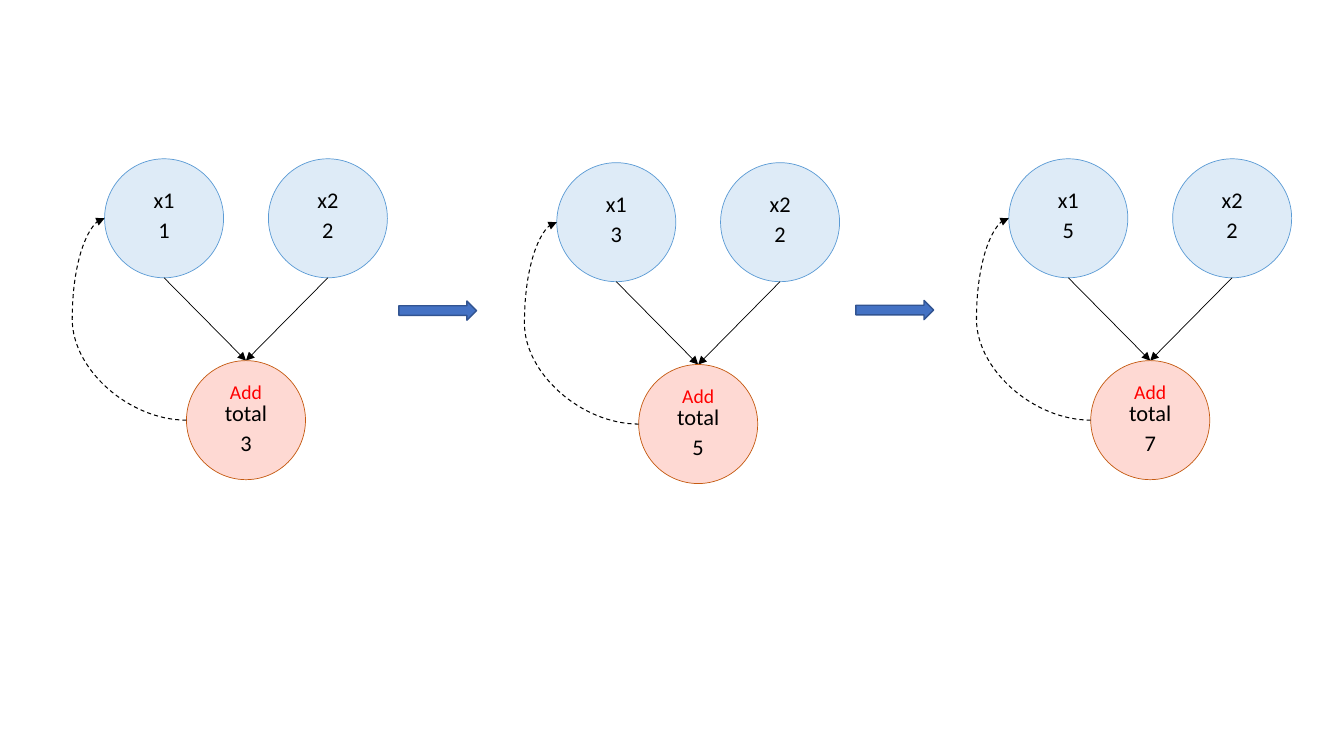
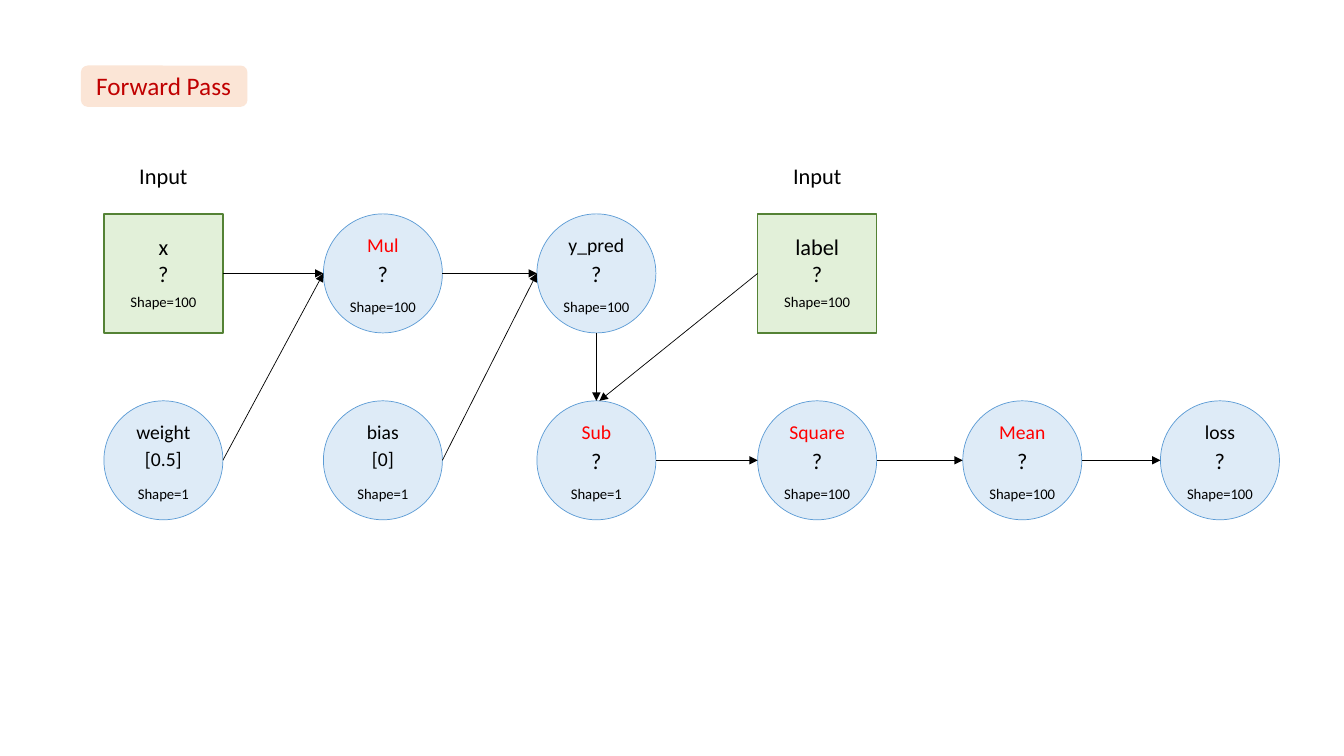
from lxml.etree import SubElement
from pptx import Presentation
from pptx.dml.color import RGBColor
from pptx.enum.dml import MSO_LINE
from pptx.enum.shapes import MSO_CONNECTOR, MSO_SHAPE
from pptx.enum.text import MSO_ANCHOR, MSO_AUTO_SIZE, PP_ALIGN
from pptx.oxml.ns import qn
from pptx.util import Pt

# Shared look
FONT = "Calibri"
BLACK = RGBColor(0x00, 0x00, 0x00)
RED = RGBColor(0xFF, 0x00, 0x00)
CRIMSON = RGBColor(0xC0, 0x00, 0x00)
PEACH = RGBColor(0xFB, 0xE5, 0xD6)
SKY = RGBColor(0xDE, 0xEB, 0xF7)
BLUE = RGBColor(0x5B, 0x9B, 0xD5)
PINK = RGBColor(0xFE, 0xD9, 0xD3)
RUST = RGBColor(0xC5, 0x5A, 0x11)
MINT = RGBColor(0xE2, 0xF0, 0xD9)
GREEN = RGBColor(0x54, 0x82, 0x35)
ROYAL = RGBColor(0x44, 0x72, 0xC4)
NAVY = RGBColor(0x32, 0x54, 0x91)
NODE = 85
SIDES = {"left": (0, 0.5), "right": (1, 0.5), "top": (0.5, 0), "bottom": (0.5, 1)}

# Slide 1: left, top, x1, x2, total
STEPS = [
    (74.7, 113.4, "1", "2", "3"),
    (397.7, 116.2, "3", "2", "5"),
    (720.6, 113.4, "5", "2", "7"),
]
ARROWS = [(284.9, 215), (611.4, 214.6)]

# Slide 2: name, column, row, value, shape note, colour of the name
COLS = [74.2, 231, 383.5, 541.2, 687.7, 828.9]
ROWS = [152.8, 286.3]
BAND = (57.8, 46.8, 119, 29.5)
INPUTS = [("x", 0, 0, "?", "Shape=100"), ("label", 3, 0, "?", "Shape=100")]
OPS = [
    ("Mul", 1, 0, "?", "Shape=100", RED),
    ("y_pred", 2, 0, "?", "Shape=100", BLACK),
    ("weight", 0, 1, "[0.5]", "Shape=1", BLACK),
    ("bias", 1, 1, "[0]", "Shape=1", BLACK),
    ("Sub", 2, 1, "?", "Shape=1", RED),
    ("Square", 3, 1, "?", "Shape=100", RED),
    ("Mean", 4, 1, "?", "Shape=100", RED),
    ("loss", 5, 1, "?", "Shape=100", BLACK),
]
# From, side, to, side, shift of the tip
LINKS = [
    ("x", "right", "Mul", "left", 0),
    ("weight", "right", "Mul", "left", 0),
    ("Mul", "right", "y_pred", "left", 0),
    ("bias", "right", "y_pred", "left", 0),
    ("label", "left", "Sub", "top", 2.2),
    ("y_pred", "bottom", "Sub", "top", 0),
    ("Sub", "right", "Square", "left", 0),
    ("Square", "right", "Mean", "left", 0),
    ("Mean", "right", "loss", "left", 0),
]


def shape(slide, kind, x, y, w, h, fill, edge=None, width=0):
    item = slide.shapes.add_shape(kind, Pt(x), Pt(y), Pt(w), Pt(h))
    item.shadow.inherit = False
    item.fill.solid()
    item.fill.fore_color.rgb = fill
    if edge is None:
        item.line.fill.background()
    else:
        item.line.color.rgb = edge
        item.line.width = Pt(width)


def circle(slide, x, y, fill=SKY, edge=BLUE):
    shape(slide, MSO_SHAPE.OVAL, x, y, NODE, NODE, fill, edge, 0.5)


def style(para, text, size, color):
    para.text = text
    para.alignment = PP_ALIGN.CENTER
    para.font.name = FONT
    para.font.size = Pt(size)
    para.font.color.rgb = color


def label(slide, left, top, text, size=16, color=BLACK):
    """Centre one line of text on the node that starts at left."""
    w = 22 + size * len(text) / 2
    h = 7.2 + size * 1.22
    box = slide.shapes.add_textbox(
        Pt(left + (NODE - w) / 2), Pt(top), Pt(w), Pt(h))
    frame = box.text_frame
    frame.word_wrap = False
    frame.auto_size = MSO_AUTO_SIZE.SHAPE_TO_FIT_TEXT
    style(frame.paragraphs[0], text, size, color)


def side(spot, name):
    return tuple(at + NODE * part for at, part in zip(spot, SIDES[name]))


def link(slide, start, end, kind=MSO_CONNECTOR.STRAIGHT, width=0.5):
    line = slide.shapes.add_connector(kind, *map(Pt, start + end))
    line.line.color.rgb = BLACK
    line.line.width = Pt(width)
    props = line.element.spPr
    SubElement(props.find(qn("a:ln")), qn("a:tailEnd"), type="triangle")
    SubElement(props, qn("a:effectLst"))
    return line


def loop(slide, start, end):
    """Dashed curve from start up to end, bulging to the left."""
    line = link(slide, end, start, MSO_CONNECTOR.CURVE, 0.75)
    line.line.dash_style = MSO_LINE.DASH
    props = line.element.spPr
    props.find(qn("a:xfrm")).set("rot", "10800000")
    geom = props.find(qn("a:prstGeom"))
    guides = geom.find(qn("a:avLst"))
    if guides is None:
        guides = SubElement(geom, qn("a:avLst"))
    SubElement(guides, qn("a:gd"), name="adj1", fmla="val 139500")


deck = Presentation()
deck.slide_width, deck.slide_height = Pt(960), Pt(540)

# Slide 1: running total in three steps
page = deck.slides.add_slide(deck.slide_layouts[6])
for left, top, *values, total in STEPS:
    spots = [(left, top), (left + 117, top)]
    goal = (left + 58.5, top + 144.2)
    for i, (spot, value) in enumerate(zip(spots, values), 1):
        circle(page, *spot)
        label(page, spot[0], top + 16, f"x{i}")
        label(page, spot[0], top + 37.2, value)
        link(page, side(spot, "bottom"), side(goal, "top"))
    circle(page, *goal, PINK, RUST)
    label(page, goal[0], goal[1] + 10.1, "Add", 14, RED)
    label(page, goal[0], goal[1] + 23.9, "total")
    label(page, goal[0], goal[1] + 45.4, total)
    loop(page, side(goal, "left"), side(spots[0], "left"))
for x, y in ARROWS:
    shape(page, MSO_SHAPE.RIGHT_ARROW, x, y, 55.5, 13.7, ROYAL, NAVY, 1)

# Slide 2: title in front of a rounded band
page = deck.slides.add_slide(deck.slide_layouts[5])
shape(page, MSO_SHAPE.ROUNDED_RECTANGLE, *BAND, PEACH)
title = page.shapes.title
title.element.getparent().append(title.element)
x, y, w, h = BAND
title.left, title.top, title.width, title.height = map(Pt, (x - 0.4, y - 0.7, w, h))
frame = title.text_frame
frame.word_wrap = False
frame.auto_size = MSO_AUTO_SIZE.NONE
frame.vertical_anchor = MSO_ANCHOR.MIDDLE
style(frame.paragraphs[0], "Forward Pass", 18, CRIMSON)

# Input squares
nodes = {}
for name, col, row, value, note in INPUTS:
    x, y = nodes[name] = COLS[col], ROWS[row]
    shape(page, MSO_SHAPE.RECTANGLE, x, y, NODE, NODE, MINT, GREEN, 1)
    label(page, x, y - 40.5, "Input")
    label(page, x, y + 10.3, name)
    label(page, x, y + 29.1, value)
    label(page, x, y + 53.1, note, 10.5)

# Operation circles
for name, col, row, value, note, color in OPS:
    x, y = nodes[name] = COLS[col], ROWS[row]
    circle(page, x, y)
    label(page, x, y + 9.9, name, 14, color)
    label(page, x, y + 29.2, value, 16 if value == "?" else 14)
    label(page, x, y + 56.3, note, 10.5)

# Arrows between nodes
for tail, out, head, into, shift in LINKS:
    x, y = side(nodes[head], into)
    link(page, side(nodes[tail], out), (x + shift, y))

deck.save("out.pptx")
